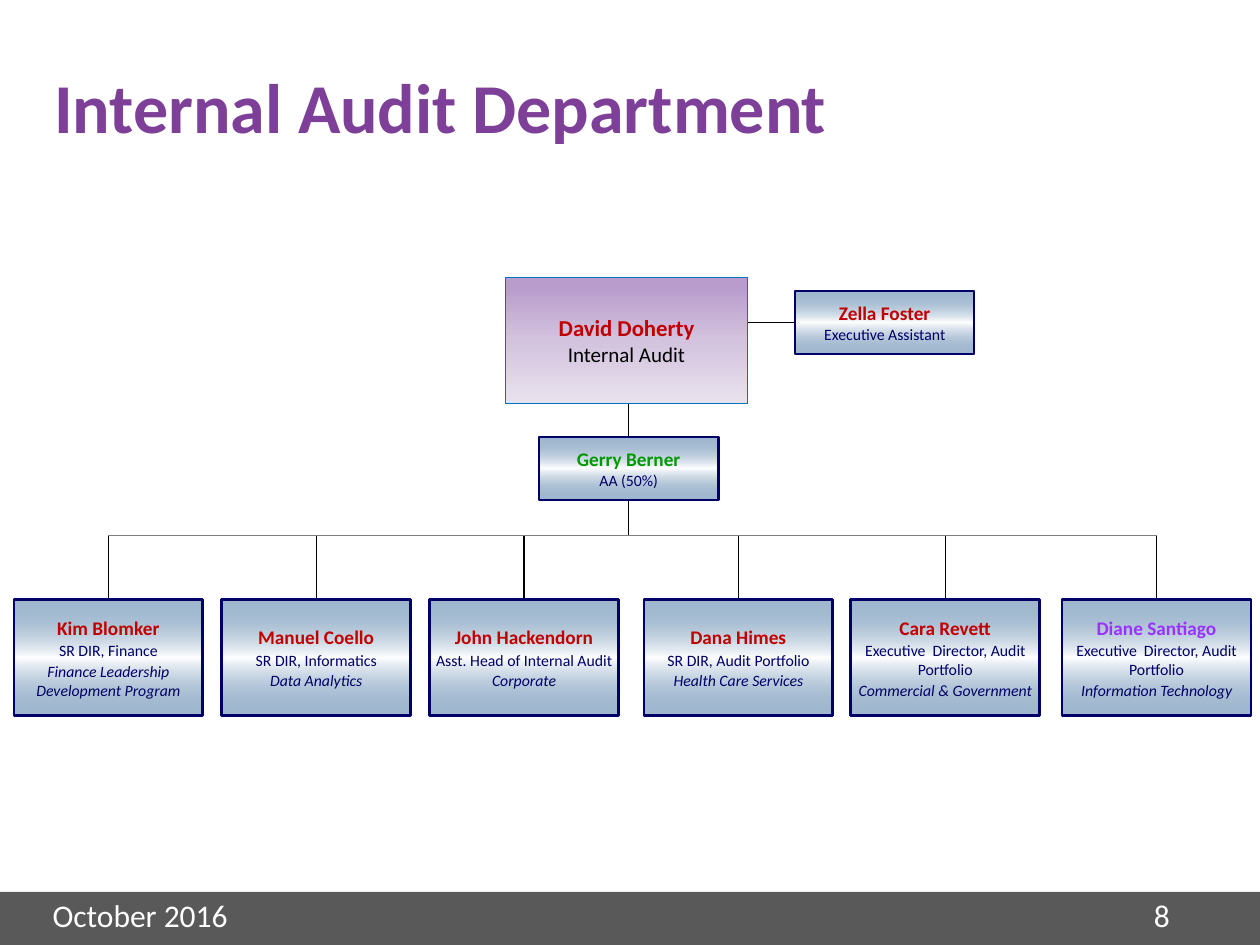
from pptx import Presentation
from pptx.dml.color import RGBColor
from pptx.enum import shapes, text
from pptx.oxml import parse_xml
from pptx.oxml.ns import nsdecls, qn
from pptx.util import Cm, Pt

FONT = "Calibri"
RED, GREEN, VIOLET, NAVY = "C00000", "009900", "9933FF", "000066"
# Gradient stops: position, colour, opacity in percent
STEEL = [(0, "336699", 46), (50, "FFFFFF", 100), (100, "336699", 46)]
LILAC = [(8, "B99CCC", 100), (50, "D3C3DE", 100), (100, "E9E2EE", 100)]

BOX_W, BOX_H, BOX_TOP = 3.81, 2.34, 12.09
AIDE_W, AIDE_H = 3.61, 1.27
BUS_Y, TRUNK_X = 10.8, 12.67
DIRECTORS = [
    (0.28, RED, "Kim Blomker", "SR DIR, Finance",
     "Finance Leadership Development Program"),
    (4.47, RED, "Manuel Coello", "SR DIR, Informatics", "Data Analytics"),
    (8.66, RED, "John Hackendorn", "Asst. Head of Internal Audit", "Corporate"),
    (12.98, RED, "Dana Himes", "SR DIR, Audit Portfolio", "Health Care Services"),
    (17.15, RED, "Cara Revett", "Executive  Director, Audit Portfolio",
     "Commercial & Government"),
    (21.41, VIOLET, "Diane Santiago", "Executive  Director, Audit Portfolio",
     "Information Technology"),
]


def rgb(value):
    return RGBColor.from_string(value)


def style(p, size, color, bold=False, italic=False):
    for r in p.runs:
        f = r.font
        f.name, f.size, f.bold, f.italic = FONT, Pt(size), bold, italic
        f.color.rgb = rgb(color)


def set_gradient(sp, stops):
    sp.fill.gradient()
    sp.fill.gradient_angle = 270
    stop_list = sp._element.spPr.find(qn("a:gradFill")).find(qn("a:gsLst"))
    for old in list(stop_list):
        stop_list.remove(old)
    for pos, color, alpha in stops:
        stop_list.append(parse_xml(
            f'<a:gs {nsdecls("a")} pos="{pos * 1000}"><a:srgbClr val="{color}">'
            f'<a:alpha val="{alpha * 1000}"/></a:srgbClr></a:gs>'))


def add_box(s, x, y, w, h, lines, stops=STEEL, border=NAVY, weight=1.5, gap=0):
    """Add a box; each line is (text, size, colour, bold, italic)."""
    sp = s.shapes.add_shape(shapes.MSO_SHAPE.RECTANGLE, Cm(x), Cm(y), Cm(w), Cm(h))
    sp.shadow.inherit = False
    set_gradient(sp, stops)
    sp.line.color.rgb, sp.line.width = rgb(border), Pt(weight)
    tf = sp.text_frame
    tf.word_wrap = True
    tf.vertical_anchor = text.MSO_ANCHOR.MIDDLE
    tf.margin_left = tf.margin_right = tf.margin_top = tf.margin_bottom = Cm(0.1)
    tf.text = "\n".join(line[0] for line in lines)
    for p, (_, *look) in zip(tf.paragraphs, lines):
        p.alignment = text.PP_ALIGN.CENTER
        p.space_before = Pt(gap)
        style(p, *look)


def add_line(s, x1, y1, x2, y2, color="000000"):
    line = s.shapes.add_connector(shapes.MSO_CONNECTOR.STRAIGHT,
                                  Cm(x1), Cm(y1), Cm(x2), Cm(y2))
    line.line.color.rgb, line.line.width = rgb(color), Pt(0.75)
    line._element.spPr.append(parse_xml(f'<a:effectLst {nsdecls("a")}/>'))


def add_label(s, x, y, w, h, words):
    tf = s.shapes.add_textbox(Cm(x), Cm(y), Cm(w), Cm(h)).text_frame
    tf.word_wrap = True
    tf.text = words
    style(tf.paragraphs[0], 18, "FFFFFF")


def add_title(s, words):
    sp = s.shapes.title
    sp.left, sp.top, sp.width, sp.height = Cm(0.84), Cm(1.42), Cm(23.06), Cm(2.39)
    tf = sp.text_frame
    tf.text = words
    tf.word_wrap = True
    tf.vertical_anchor = text.MSO_ANCHOR.TOP
    p = tf.paragraphs[0]
    p.alignment, p.line_spacing = text.PP_ALIGN.LEFT, 0.85
    style(p, 40, "7D3F98", bold=True)


def add_footer(s):
    bar = s.shapes.add_shape(shapes.MSO_SHAPE.RECTANGLE,
                             Cm(0), Cm(17.98), Cm(25.4), Cm(1.09))
    bar.shadow.inherit = False
    bar.fill.solid()
    bar.fill.fore_color.rgb = rgb("595959")
    bar.line.fill.background()
    add_label(s, 23.01, 17.93, 1.47, 1.32, "8")
    add_label(s, 0.81, 17.93, 19.48, 1.02, "October 2016")


def add_aide(s, x, y, color, name, role):
    add_box(s, x, y, AIDE_W, AIDE_H,
            [(name, 11, color, True), (role, 9, NAVY)])


def main():
    prs = Presentation()
    prs.slide_width, prs.slide_height = Cm(25.4), Cm(19.05)
    s = prs.slides.add_slide(prs.slide_layouts[5])
    add_footer(s)
    add_title(s, "Internal Audit Department")

    # Connecting lines
    centers = [director[0] + BOX_W / 2 for director in DIRECTORS]
    add_line(s, 14.53, 6.5, 16.03, 6.5)
    add_line(s, TRUNK_X, 8.13, TRUNK_X, 8.81)
    add_line(s, TRUNK_X, 10.08, TRUNK_X, BUS_Y)
    add_line(s, centers[0], BUS_Y, centers[-1], BUS_Y, "7F7F7F")
    for x in centers:
        add_line(s, x, BUS_Y, x, BOX_TOP)

    # Department head and assistants
    add_box(s, 10.19, 5.59, 4.88, 2.54,
            [("David Doherty", 13, RED, True), ("Internal Audit", 12, "000000")],
            LILAC, "0070C0", 0.75)
    add_aide(s, 16.03, 5.87, RED, "Zella Foster", "Executive Assistant")
    add_aide(s, 10.87, 8.81, GREEN, "Gerry Berner", "AA (50%)")

    # Directors
    for x, color, name, role, area in DIRECTORS:
        add_box(s, x, BOX_TOP, BOX_W, BOX_H,
                [(name, 11, color, True), (role, 9, NAVY),
                 (area, 9, NAVY, False, True)], gap=1)

    prs.save("out.pptx")


main()
